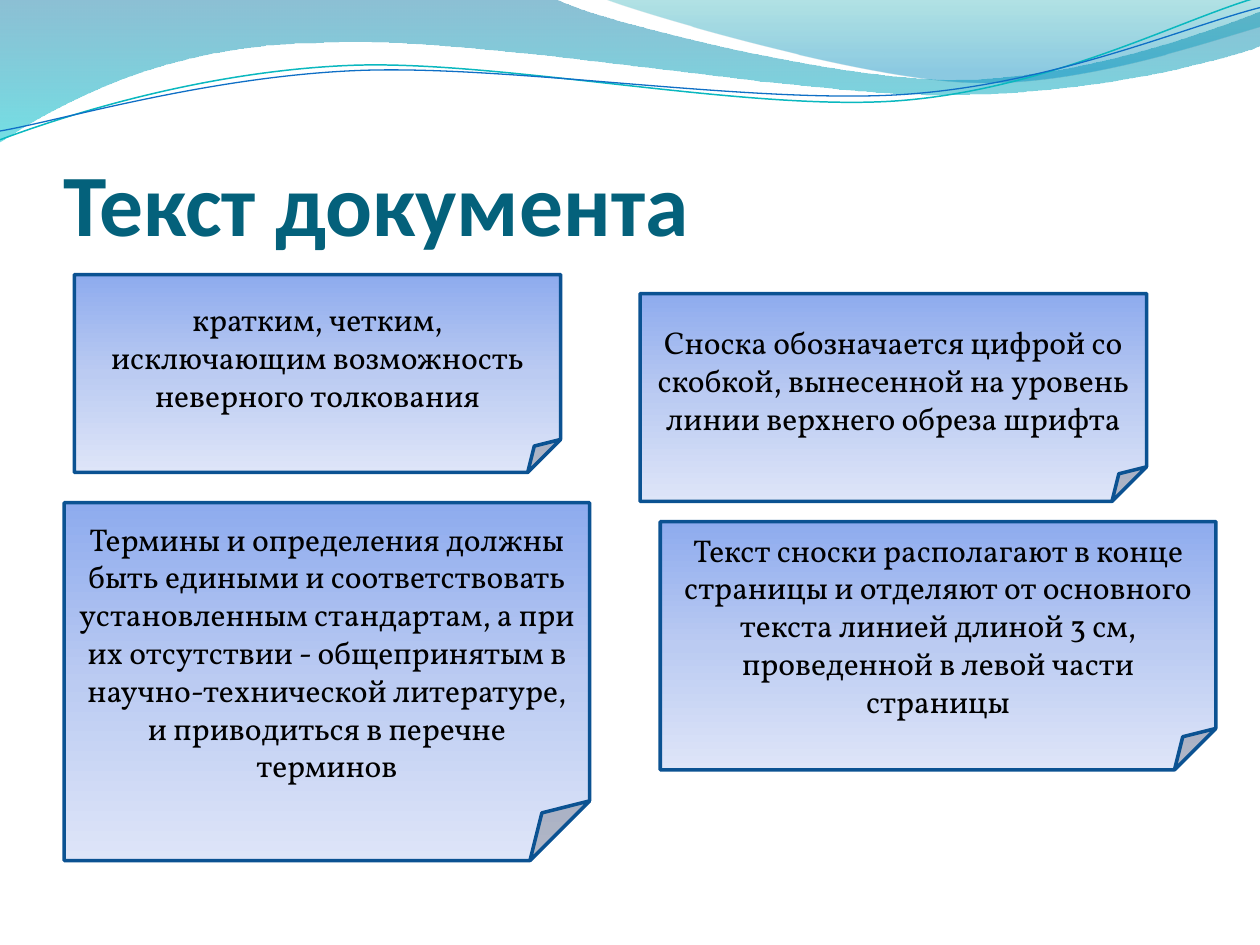
from math import cos, radians, sin

from lxml import etree
from pptx import Presentation
from pptx.dml.color import RGBColor
from pptx.enum.shapes import MSO_SHAPE as Shape
from pptx.enum.text import MSO_ANCHOR as Anchor, MSO_AUTO_SIZE as AutoSize, PP_ALIGN as Align
from pptx.oxml.ns import qn
from pptx.util import Inches, Pt

COLORS = {
    "title": "04617B", "text": "000000", "card_border": "0B5292",
    "teal_line": "0AB8BF", "blue_line": "0F6FC6",
}
CARD_STOPS = [(0, "8EABEE", 100), (50, "BBCBF2", 100), (100, "DEE5F8", 100)]
LEFT_STOPS = [(0, "0074A1", 45), (100, "00C6CF", 55)]
RIGHT_STOPS = [(0, "00A1A9", 30), (80, "008BBF", 45)]
CURVE_TILT = -2.7

LEFT_BOX = (-0.01, -0.01, 10.02, 1.14)
LEFT_WAVE = [
    (0, -0.01), (4.4, -0.01),
    (4.76, 0.17, 6.64, 0.63, 7.58, 0.63), (8.53, 0.63, 9.58, 0.26, 10, 0.09),
    (10.01, 0.36),
    (9.83, 0.44, 8.7, 0.76, 7.46, 0.75), (6.22, 0.75, 3.82, 0.28, 2.57, 0.34),
    (1.29, 0.35, 0.46, 0.83, -0.01, 1.13), (0, -0.01),
]
RIGHT_BOX = (4.79, -0.01, 5.21, 0.7)
RIGHT_WAVE = [
    (4.79, -0.01),
    (5.09, 0.11, 6.82, 0.62, 7.69, 0.65), (8.56, 0.69, 9.61, 0.32, 10, 0.21),
    (10, 0), (4.79, -0.01),
]
TEAL_BOX = (-0.02, 0.22, 10.02, 0.71)
TEAL_CURVE = [
    (0, 1.11),
    (0.48, 0.93, 1.58, 0.57, 2.77, 0.52), (3.95, 0.47, 5.93, 0.89, 7.13, 0.8),
    (8.33, 0.71, 9.38, 0.15, 9.98, -0.02),
]
BLUE_BOX = (-0.02, 0.3, 10.03, 0.58)
BLUE_CURVE = [
    (0, 1.04),
    (0.47, 0.96, 1.64, 0.61, 2.83, 0.56), (4.03, 0.51, 5.97, 0.83, 7.17, 0.75),
    (8.36, 0.67, 9.41, 0.21, 10, 0.06),
]
CARDS = [
    (0.59, 2.18, 3.86, 1.57,
     "кратким, четким, исключающим возможность неверного толкования"),
    (5.08, 2.33, 4.02, 1.65,
     "Сноска обозначается цифрой со скобкой, вынесенной на уровень линии "
     "верхнего обреза шрифта"),
    (5.24, 4.14, 4.41, 1.97,
     "Текст сноски располагают в конце страницы и отделяют от основного текста "
     "линией длиной 3 см, проведенной в левой части страницы"),
    (0.51, 3.99, 4.17, 2.84,
     "Термины и определения должны быть едиными и соответствовать установленным "
     "стандартам, а при их отсутствии - общепринятым в научно-технической "
     "литературе, и приводиться в перечне терминов"),
]


def rgb(name):
    return RGBColor.from_string(COLORS[name])


def fill_gradient(shape, stops):
    gradient = etree.Element(qn("a:gradFill"), rotWithShape="1")
    stop_list = etree.SubElement(gradient, qn("a:gsLst"))
    for position, color, opacity in stops:
        stop = etree.SubElement(stop_list, qn("a:gs"), pos=str(position * 1000))
        tone = etree.SubElement(stop, qn("a:srgbClr"), val=color)
        if opacity < 100:
            etree.SubElement(tone, qn("a:alpha"), val=str(opacity * 1000))
    etree.SubElement(gradient, qn("a:lin"), ang="5400000", scaled="0")
    properties = shape._element.spPr
    geometry = properties.find(qn("a:custGeom"))
    if geometry is None:
        geometry = properties.find(qn("a:prstGeom"))
    geometry.addnext(gradient)


def set_line(shape, color, width):
    shape.line.color.rgb = rgb(color)
    shape.line.width = Pt(width)


def write_text(frame, text, *, font, size, color, bold=False,
               align=Align.LEFT, anchor=Anchor.MIDDLE):
    frame.word_wrap = True
    frame.auto_size = AutoSize.NONE
    frame.vertical_anchor = anchor
    paragraph = frame.paragraphs[0]
    paragraph.alignment = align
    run = paragraph.add_run()
    run.text = text
    run.font.name = font
    run.font.size = Pt(size)
    run.font.bold = bold
    run.font.color.rgb = rgb(color)


def to_local(x, y, box, tilt):
    left, top, width, height = box
    dx, dy = x - left - width / 2, y - top - height / 2
    angle = radians(-tilt)
    return (Inches(width / 2 + dx * cos(angle) - dy * sin(angle)),
            Inches(height / 2 + dx * sin(angle) + dy * cos(angle)))


def add_outline(shapes, box, segments, close=False, tilt=0):
    left, top, width, height = box
    builder = shapes.build_freeform(Inches(left), Inches(top))
    builder.add_line_segments([(Inches(left + width), Inches(top + height))], close=False)
    outline = builder.convert_to_shape()
    outline.shadow.inherit = False
    outline.rotation = tilt
    route = outline._element.spPr.find(".//" + qn("a:path"))
    for step in list(route):
        route.remove(step)
    for index, segment in enumerate(segments):
        kind = "a:cubicBezTo" if len(segment) == 6 else "a:lnTo"
        step = etree.SubElement(route, qn(kind if index else "a:moveTo"))
        for x, y in zip(segment[::2], segment[1::2]):
            local_x, local_y = to_local(x, y, box, tilt)
            etree.SubElement(step, qn("a:pt"), x=str(local_x), y=str(local_y))
    if close:
        etree.SubElement(route, qn("a:close"))
    return outline


def add_wave(slide, box, segments, stops):
    wave = add_outline(slide.shapes, box, segments, close=True)
    fill_gradient(wave, stops)
    wave.line.fill.background()


def add_curve(group, box, segments, color, width):
    curve = add_outline(group.shapes, box, segments, tilt=CURVE_TILT)
    curve.fill.background()
    set_line(curve, color, width)


def add_title(slide, text):
    title = slide.shapes.title
    title.left, title.top = Inches(0.5), Inches(0.77)
    title.width, title.height = Inches(9), Inches(1.25)
    frame = title.text_frame
    frame.margin_left = frame.margin_right = frame.margin_bottom = 0
    frame.margin_top = Inches(0.05)
    write_text(frame, text, font="Calibri", size=50, color="title", bold=True,
               anchor=Anchor.BOTTOM)
    slide.shapes._spTree.append(title._element)


def add_card(slide, left, top, width, height, text):
    card = slide.shapes.add_shape(
        Shape.FOLDED_CORNER, Inches(left), Inches(top), Inches(width), Inches(height))
    card.shadow.inherit = False
    fill_gradient(card, CARD_STOPS)
    set_line(card, "card_border", 2)
    write_text(card.text_frame, text, font="Vollkorn", size=18, color="text",
               align=Align.CENTER)


def main():
    deck = Presentation()
    deck.slide_width, deck.slide_height = Inches(10), Inches(7.5)
    slide = deck.slides.add_slide(deck.slide_layouts[5])
    add_wave(slide, LEFT_BOX, LEFT_WAVE, LEFT_STOPS)
    add_wave(slide, RIGHT_BOX, RIGHT_WAVE, RIGHT_STOPS)
    curves = slide.shapes.add_group_shape()
    add_curve(curves, TEAL_BOX, TEAL_CURVE, "teal_line", 0.85)
    add_curve(curves, BLUE_BOX, BLUE_CURVE, "blue_line", 0.75)
    add_title(slide, "Текст документа")
    for card in CARDS:
        add_card(slide, *card)
    deck.save("out.pptx")


if __name__ == "__main__":
    main()
